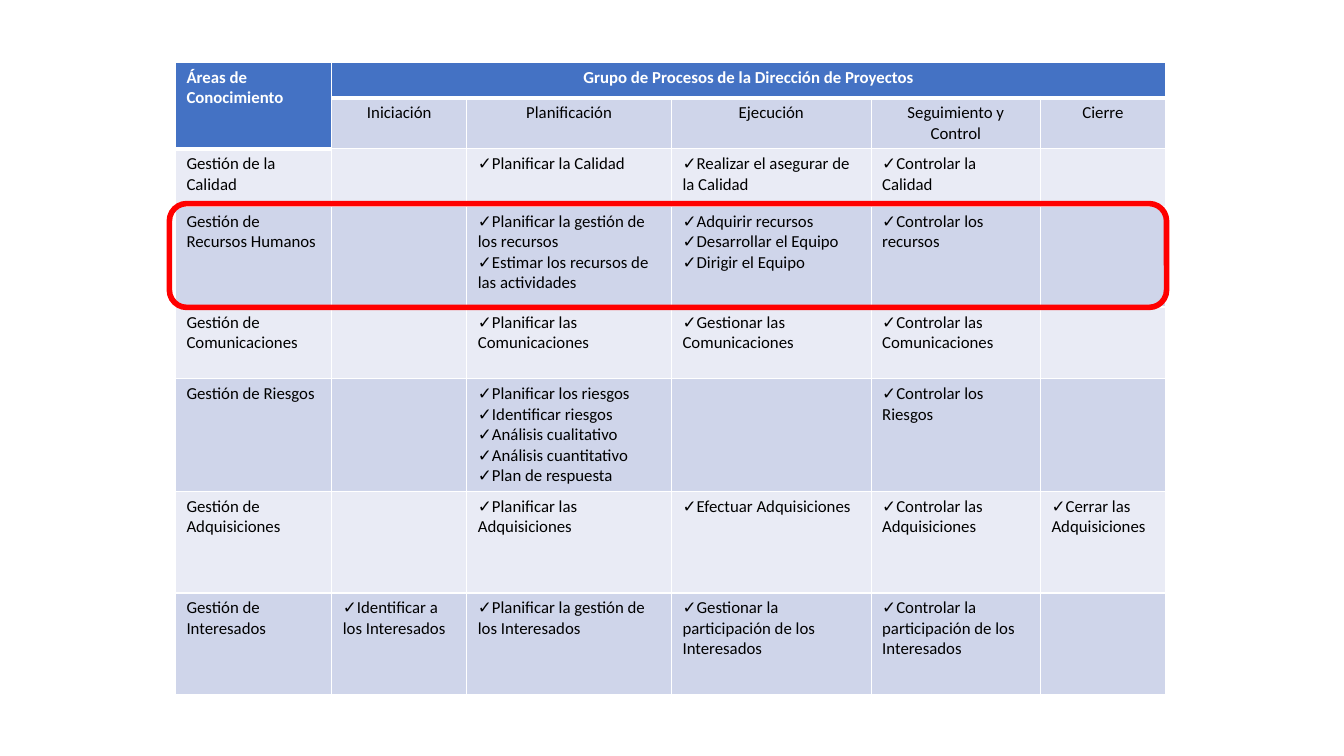
from lxml.etree import SubElement
from pptx import Presentation
from pptx.dml.color import RGBColor
from pptx.enum.shapes import MSO_SHAPE as Shape
from pptx.enum.text import PP_ALIGN as Align
from pptx.oxml.ns import qn
from pptx.util import Inches, Pt

FONT = "Calibri"
COLORS = {"header": "4472C4", "dark": "CFD5EA", "light": "E9EBF5",
          "white": "FFFFFF", "black": "000000", "highlight": "FF0000"}
COLUMN_WIDTHS = [1.55, 1.34, 2.03, 1.98, 1.68, 1.24]
ROW_HEIGHTS = [0.35, 0.46, 0.57, 1, 0.71, 1.01, 1.01, 1.01]

AREA_TITLE = "Áreas de Conocimiento"
GROUP_TITLE = "Grupo de Procesos de la Dirección de Proyectos"
PHASES = ["Iniciación", "Planificación", "Ejecución",
          "Seguimiento y Control", "Cierre"]
# Each area has one list of processes per phase
AREAS = [
    ("Gestión de la Calidad",
     [[], ["Planificar la Calidad"], ["Realizar el asegurar de la Calidad"],
      ["Controlar la Calidad"], []]),
    ("Gestión de Recursos Humanos",
     [[], ["Planificar la gestión de los recursos",
           "Estimar los recursos de las actividades"],
      ["Adquirir recursos", "Desarrollar el Equipo", "Dirigir el Equipo"],
      ["Controlar los recursos"], []]),
    ("Gestión de Comunicaciones",
     [[], ["Planificar las Comunicaciones"], ["Gestionar las Comunicaciones"],
      ["Controlar las Comunicaciones"], []]),
    ("Gestión de Riesgos",
     [[], ["Planificar los riesgos", "Identificar riesgos",
           "Análisis cualitativo", "Análisis cuantitativo",
           "Plan de respuesta"],
      [], ["Controlar los Riesgos"], []]),
    ("Gestión de Adquisiciones",
     [[], ["Planificar las Adquisiciones"], ["Efectuar Adquisiciones"],
      ["Controlar las Adquisiciones"], ["Cerrar las Adquisiciones"]]),
    ("Gestión de Interesados",
     [["Identificar a los Interesados"],
      ["Planificar la gestión de los Interesados"],
      ["Gestionar la participación de los Interesados"],
      ["Controlar la participación de los Interesados"], []]),
]


def color(name):
    return RGBColor.from_string(COLORS[name])


def add_check(para):
    props = para._p.get_or_add_pPr()
    props.set("marL", "0")
    props.set("indent", "0")
    SubElement(props, qn("a:buFont"), typeface=FONT)
    SubElement(props, qn("a:buChar"), char="✓")


def style_cell(cell, fill, bottom=1):
    """Draw white borders, then fill the cell and set its margins."""
    props = cell._tc.get_or_add_tcPr()
    for side, width in (("L", 1), ("R", 1), ("T", 1), ("B", bottom)):
        line = SubElement(props, qn(f"a:ln{side}"), w=str(Pt(width)))
        solid = SubElement(line, qn("a:solidFill"))
        SubElement(solid, qn("a:srgbClr"), val=COLORS["white"])
    cell.fill.solid()
    cell.fill.fore_color.rgb = color(fill)
    cell.margin_left = cell.margin_right = Inches(0.11)
    cell.margin_top = cell.margin_bottom = Inches(0.05)


def write_cell(cell, lines, ink="black", bold=False, align=Align.LEFT,
               checked=False):
    frame = cell.text_frame
    for index, line in enumerate(lines):
        para = frame.add_paragraph() if index else frame.paragraphs[0]
        para.alignment = align
        if checked:
            add_check(para)
        span = para.add_run()
        span.text = line
        span.font.name = FONT
        span.font.size = Pt(12)
        span.font.bold = bold
        span.font.color.rgb = color(ink)


def add_process_table(page):
    frame = page.shapes.add_table(
        len(ROW_HEIGHTS), len(COLUMN_WIDTHS), Inches(1.74), Inches(0.62),
        Inches(sum(COLUMN_WIDTHS)), Inches(sum(ROW_HEIGHTS)))
    table = frame.table
    table.first_row = table.horz_banding = False
    for column, width in zip(table.columns, COLUMN_WIDTHS):
        column.width = Inches(width)
    for row, height in zip(table.rows, ROW_HEIGHTS):
        row.height = Inches(height)

    # Header cells are blue with a thick lower edge; body rows alternate
    for r in range(len(ROW_HEIGHTS)):
        for c in range(len(COLUMN_WIDTHS)):
            if r == 0 or (r == 1 and c == 0):
                style_cell(table.cell(r, c), "header", bottom=3)
            else:
                style_cell(table.cell(r, c), "dark" if r % 2 else "light")

    # Headings
    table.cell(0, 0).merge(table.cell(1, 0))
    table.cell(0, 1).merge(table.cell(0, len(PHASES)))
    write_cell(table.cell(0, 0), [AREA_TITLE], "white", True)
    write_cell(table.cell(0, 1), [GROUP_TITLE], "white", True, Align.CENTER)
    for c, phase in enumerate(PHASES, 1):
        write_cell(table.cell(1, c), [phase], align=Align.CENTER)

    # Knowledge areas
    for r, (area, groups) in enumerate(AREAS, 2):
        write_cell(table.cell(r, 0), [area])
        for c, processes in enumerate(groups, 1):
            write_cell(table.cell(r, c), processes, checked=True)


def add_highlight(page, left, top, width, height):
    box = page.shapes.add_shape(Shape.ROUNDED_RECTANGLE, Inches(left),
                                Inches(top), Inches(width), Inches(height))
    box.shadow.inherit = False
    box.fill.background()
    box.line.color.rgb = color("highlight")
    box.line.width = Pt(4)


def main():
    deck = Presentation()
    deck.slide_width, deck.slide_height = Inches(13.33), Inches(7.5)
    page = deck.slides.add_slide(deck.slide_layouts[6])
    add_process_table(page)
    add_highlight(page, 1.68, 2.02, 9.89, 1.03)
    deck.save("out.pptx")


if __name__ == "__main__":
    main()
